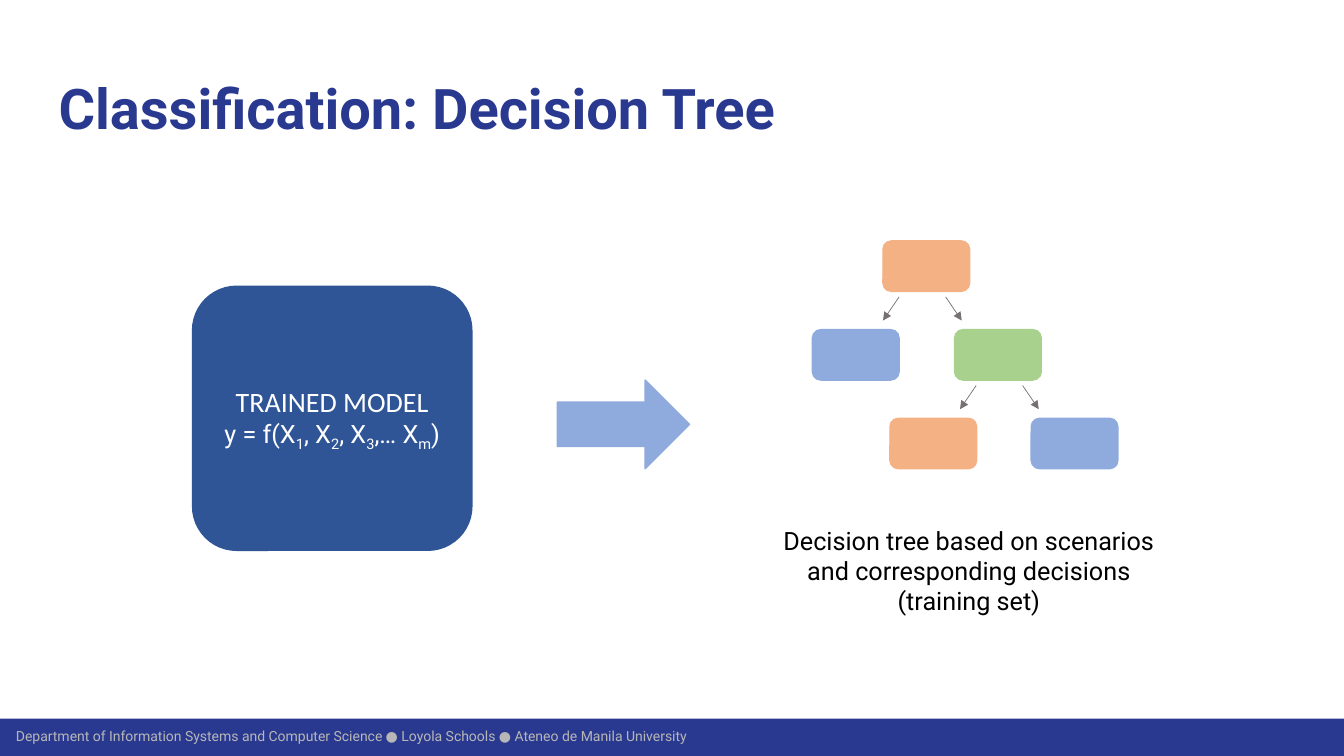
from dataclasses import dataclass

from lxml import etree
from pptx import Presentation
from pptx.dml.color import RGBColor
from pptx.enum.shapes import MSO_CONNECTOR, MSO_SHAPE
from pptx.enum.text import MSO_ANCHOR, MSO_AUTO_SIZE, PP_ALIGN
from pptx.oxml.ns import qn
from pptx.util import Inches, Pt

NAVY = RGBColor(0x2A, 0x39, 0x90)
MODEL_BLUE = RGBColor(0x2F, 0x55, 0x97)
BLUE = RGBColor(0x8F, 0xAA, 0xDC)
ORANGE = RGBColor(0xF4, 0xB1, 0x83)
GREEN = RGBColor(0xA9, 0xD1, 0x8E)
GREY = RGBColor(0x76, 0x71, 0x71)
SILVER = RGBColor(0xB7, 0xB7, 0xB7)
WHITE = RGBColor(0xFF, 0xFF, 0xFF)
BLACK = RGBColor(0, 0, 0)

SLIDE_WIDTH, SLIDE_HEIGHT = Inches(13.33), Inches(7.5)

# Tree grid, in percent of the slide
NODE_WIDTH, NODE_HEIGHT = 6.45, 6.67
TREE_TOP, LEVEL_PITCH = 31.87, 11.73
BRANCH_GAP, BRANCH_DROP = 7.4, 3.13
BRANCH_START, BRANCH_END = 1.73, 2.93


@dataclass(frozen=True)
class Box:
    """Place and size in percent of the slide."""
    left: float
    top: float
    width: float
    height: float

    def emu(self) -> tuple[int, int, int, int]:
        return (across(self.left), down(self.top),
                across(self.width), down(self.height))


@dataclass(frozen=True)
class Node:
    left: float
    level: int
    colour: RGBColor


@dataclass(frozen=True)
class Split:
    middle: float
    level: int


NODES = [
    Node(65.7, 0, ORANGE),
    Node(60.45, 1, BLUE),
    Node(71.03, 1, GREEN),
    Node(66.22, 2, ORANGE),
    Node(76.73, 2, BLUE),
]
SPLITS = [Split(68.63, 0), Split(74.36, 1)]
# Each formula part with the subscript that follows it
FORMULA = [("y = f(X", "1"), (", X", "2"), (", X", "3"), (",… X", "m"), (")", "")]


def across(percent: float) -> int:
    return round(SLIDE_WIDTH * percent / 100)


def down(percent: float) -> int:
    return round(SLIDE_HEIGHT * percent / 100)


def level_top(level: int) -> float:
    return TREE_TOP + level * LEVEL_PITCH


def add_run(paragraph, text: str, size: float, colour: RGBColor,
            font: str = "Roboto", bold: bool = False):
    run = paragraph.add_run()
    run.text = text
    run.font.name = font
    run.font.size = Pt(size)
    run.font.bold = bold
    run.font.color.rgb = colour
    return run


def set_insets(frame, inches: float) -> None:
    frame.margin_left = frame.margin_right = Inches(inches)
    frame.margin_top = frame.margin_bottom = Inches(inches)


def add_block(slide, kind: MSO_SHAPE, box: Box, colour: RGBColor,
              outlined: bool = True):
    block = slide.shapes.add_shape(kind, *box.emu())
    block.shadow.inherit = False
    block.fill.solid()
    block.fill.fore_color.rgb = colour
    if outlined:
        block.line.color.rgb = colour
        block.line.width = Pt(1)
    else:
        block.line.fill.background()
    return block


def add_text(slide, box: Box):
    frame = slide.shapes.add_textbox(*box.emu()).text_frame
    frame.word_wrap = True
    return frame


def add_branch(slide, split: Split, side: int) -> None:
    start = level_top(split.level) + BRANCH_GAP
    branch = slide.shapes.add_connector(
        MSO_CONNECTOR.STRAIGHT,
        across(split.middle + side * BRANCH_START), down(start),
        across(split.middle + side * BRANCH_END), down(start + BRANCH_DROP))
    branch.line.color.rgb = GREY
    branch.line.width = Pt(0.5)
    etree.SubElement(branch.line._get_or_add_ln(), qn("a:tailEnd"), type="triangle")
    etree.SubElement(branch._element.spPr, qn("a:effectLst"))


def add_footer(slide) -> None:
    add_block(slide, MSO_SHAPE.RECTANGLE, Box(0, 95.07, 100, 4.93), NAVY, outlined=False)
    footer = add_text(slide, Box(0.45, 95.73, 75, 3.2))
    footer.vertical_anchor = MSO_ANCHOR.MIDDLE
    set_insets(footer, 0.1)
    add_run(footer.paragraphs[0],
            "Department of Information Systems and Computer Science ● "
            "Loyola Schools ● Ateneo de Manila University", 10, SILVER)


def add_title(slide) -> None:
    title = slide.shapes.title
    title.left, title.top, title.width, title.height = Box(3.38, 8, 93.15, 11.87).emu()
    frame = title.text_frame
    frame.auto_size = MSO_AUTO_SIZE.NONE
    frame.vertical_anchor = MSO_ANCHOR.TOP
    set_insets(frame, 0.13)
    heading = frame.paragraphs[0]
    heading.alignment = PP_ALIGN.LEFT
    add_run(heading, "Classification: Decision Tree", 40, NAVY, bold=True)


def add_model(slide) -> None:
    model = add_block(slide, MSO_SHAPE.ROUNDED_RECTANGLE,
                      Box(14.33, 37.87, 20.78, 34.93), MODEL_BLUE).text_frame
    model.vertical_anchor = MSO_ANCHOR.MIDDLE
    label, formula = model.paragraphs[0], model.add_paragraph()
    label.alignment = formula.alignment = PP_ALIGN.CENTER
    add_run(label, "TRAINED MODEL", 20, WHITE, font="Calibri")
    for part, subscript in FORMULA:
        add_run(formula, part, 18, WHITE)
        if subscript:
            index = add_run(formula, subscript, 18, WHITE)
            index.font._element.set("baseline", "-25000")


def add_tree(slide) -> None:
    for node in NODES:
        add_block(slide, MSO_SHAPE.ROUNDED_RECTANGLE,
                  Box(node.left, level_top(node.level), NODE_WIDTH, NODE_HEIGHT),
                  node.colour)
    for split in SPLITS:
        for side in (-1, 1):
            add_branch(slide, split, side)
    caption = add_text(slide, Box(57.54, 68.8, 29.1, 13.47))
    caption.auto_size = MSO_AUTO_SIZE.SHAPE_TO_FIT_TEXT
    caption.paragraphs[0].alignment = PP_ALIGN.CENTER
    add_run(caption.paragraphs[0],
            "Decision tree based on scenarios and corresponding decisions "
            "(training set)", 18, BLACK)


def main() -> None:
    deck = Presentation()
    deck.slide_width, deck.slide_height = SLIDE_WIDTH, SLIDE_HEIGHT
    slide = deck.slides.add_slide(deck.slide_layouts.get_by_name("Title Only"))
    add_footer(slide)
    add_title(slide)
    add_model(slide)
    # Arrow from the model to its tree
    add_block(slide, MSO_SHAPE.RIGHT_ARROW, Box(41.48, 50.27, 9.83, 11.73), BLUE)
    add_tree(slide)
    deck.save("out.pptx")


if __name__ == "__main__":
    main()
